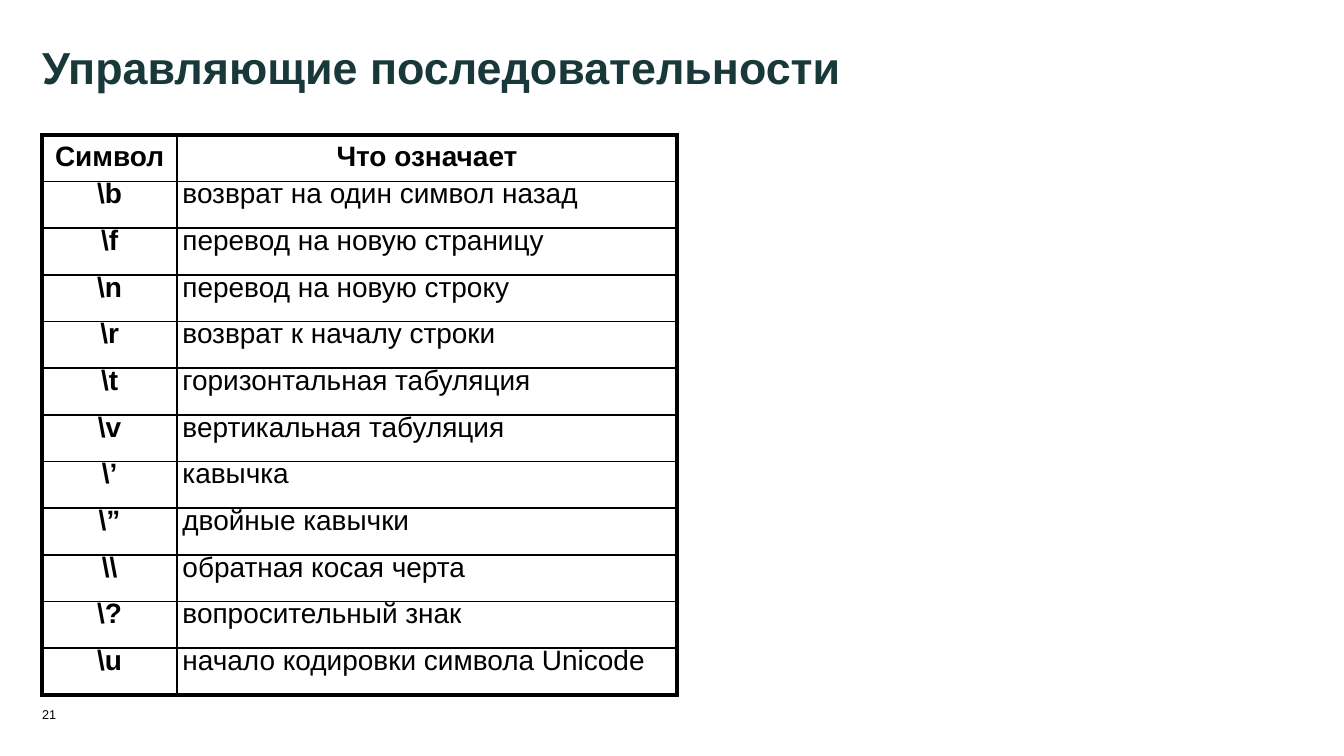
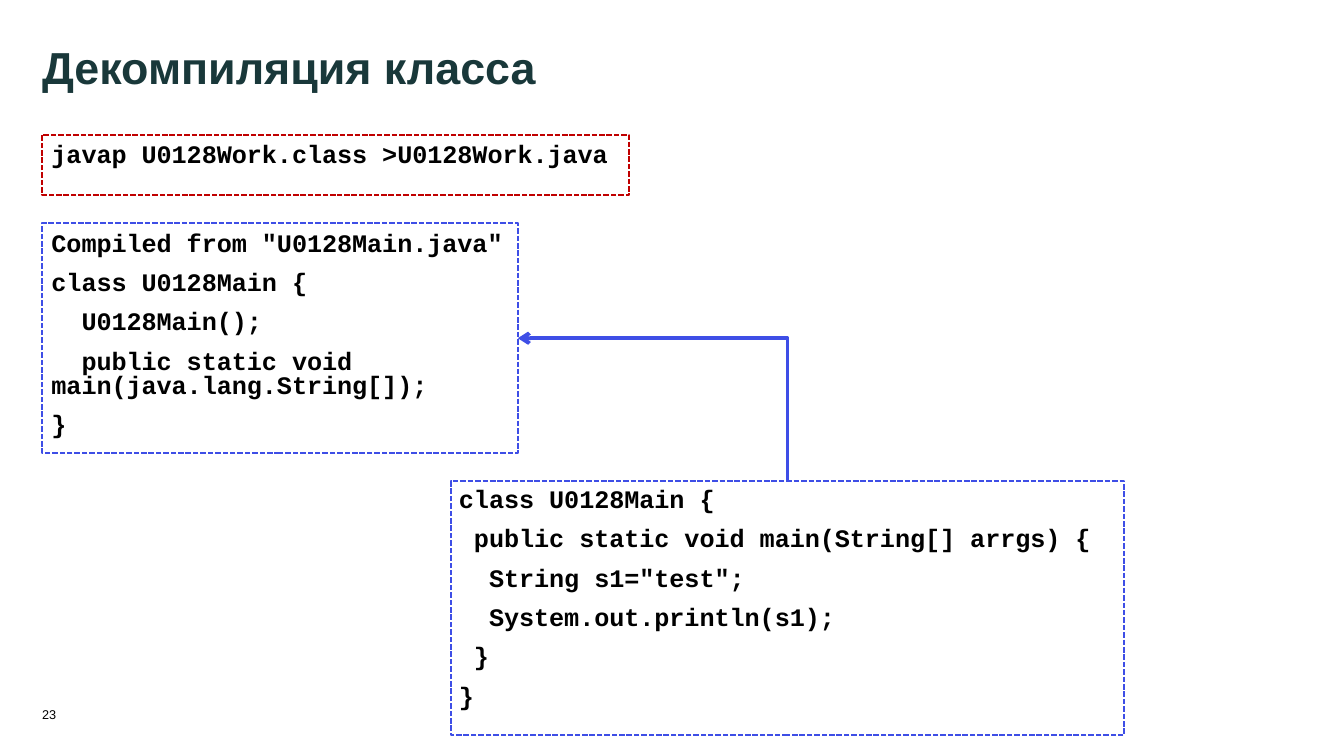
import pptx
import pptx.util
import pptx.dml.color
import pptx.enum.dml
import pptx.enum.shapes
import pptx.enum.text
import pptx.oxml
import pptx.oxml.ns

Pt = pptx.util.Pt
Inches = pptx.util.Inches
RGBColor = pptx.dml.color.RGBColor
PP_ALIGN = pptx.enum.text.PP_ALIGN
MSO_ANCHOR = pptx.enum.text.MSO_ANCHOR

# Shared look
WIDTH = Inches(10)
HEIGHT = WIDTH * 9 // 16
TEAL = RGBColor(0x19, 0x38, 0x3A)
BLACK = RGBColor(0, 0, 0)
BLUE = RGBColor(0x3E, 0x4E, 0xE6)
RED = RGBColor(0xC0, 0, 0)
SANS, MONO = "Arial", "Courier New"
MARGIN = 3.13  # left edge of the content, percent of the width
TOP = 17.83  # top edge of the content, percent of the height
THIN, THICK = 1, 2.25

ESCAPES = [
    ("\\b", "возврат на один символ назад"),
    ("\\f", "перевод на новую страницу"),
    ("\\n", "перевод на новую строку"),
    ("\\r", "возврат к началу строки"),
    ("\\t", "горизонтальная табуляция"),
    ("\\v", "вертикальная табуляция"),
    ("\\’", "кавычка"),
    ("\\”", "двойные кавычки"),
    ("\\\\", "обратная косая черта"),
    ("\\?", "вопросительный знак"),
    ("\\u", "начало кодировки символа Unicode"),
]

COMMAND = "javap U0128Work.class >U0128Work.java"

DECOMPILED = """Compiled from "U0128Main.java"
class U0128Main {
  U0128Main();
  public static void main(java.lang.String[]);
}"""

SOURCE = """class U0128Main {
 public static void main(String[] arrgs) {
  String s1="test";
  System.out.println(s1);
 }
}"""


def area(left, top, width, height):
    """Turn percentages of the slide's size into lengths."""
    return (int(WIDTH * left / 100), int(HEIGHT * top / 100),
            int(WIDTH * width / 100), int(HEIGHT * height / 100))


def write(tf, text, size, font=SANS, color=BLACK, bold=False,
          align=PP_ALIGN.LEFT, line=None, before=0):
    """Write one paragraph per line; before is a share of the text size."""
    for i, words in enumerate(text.split("\n")):
        p = tf.add_paragraph() if i else tf.paragraphs[0]
        p.alignment = align
        p.space_before = Pt(size * before)
        if line:
            p.line_spacing = line
        r = p.add_run()
        r.text = words
        r.font.name, r.font.size, r.font.bold = font, Pt(size), bold
        r.font.color.rgb = color


def set_frame(tf, inset=0, anchor=MSO_ANCHOR.TOP, wrap=True):
    tf.margin_left = tf.margin_right = Inches(inset)
    tf.margin_top = tf.margin_bottom = Inches(inset)
    tf.vertical_anchor = anchor
    tf.word_wrap = wrap
    tf.auto_size = pptx.enum.text.MSO_AUTO_SIZE.NONE


def add_slide(prs, title, number):
    s = prs.slides.add_slide(prs.slide_layouts[5])
    sp = s.shapes.title
    sp.left, sp.top, sp.width, sp.height = area(MARGIN, 5.2, 93.74, 12.6)
    set_frame(sp.text_frame)
    write(sp.text_frame, title, 24, color=TEAL, bold=True)

    # Slide number
    sp = s.shapes.add_textbox(*area(MARGIN, 89.3, MARGIN, 6.2))
    set_frame(sp.text_frame, anchor=MSO_ANCHOR.BOTTOM, wrap=False)
    write(sp.text_frame, str(number), 6.8)
    return s


def set_borders(cell, **widths):
    tc_pr = cell._tc.get_or_add_tcPr()
    for side in "LRTB":
        tc_pr.append(pptx.oxml.parse_xml(
            f'<a:ln{side} {pptx.oxml.ns.nsdecls("a")} w="{Pt(widths[side])}">'
            f'<a:solidFill><a:srgbClr val="{BLACK}"/></a:solidFill></a:ln{side}>'))


def add_grid(s, rows, left, top, col_widths, height):
    sp = s.shapes.add_table(len(rows), len(col_widths),
                            *area(left, top, sum(col_widths), height))
    table = sp.table
    table.first_row = table.horz_banding = False
    for col, width in zip(table.columns, col_widths):
        col.width = int(WIDTH * width / 100)
    last_row, last_col = len(rows) - 1, len(col_widths) - 1
    for i, row in enumerate(rows):
        for j, text in enumerate(row):
            cell = table.cell(i, j)
            head, label = i == 0, i == 0 or j == 0
            cell.margin_left = Inches(0 if label else 0.04)
            cell.margin_right = cell.margin_top = cell.margin_bottom = 0
            cell.vertical_anchor = MSO_ANCHOR.MIDDLE if head else MSO_ANCHOR.TOP
            write(cell.text_frame, text, 15, bold=label, line=0.9, before=0.6,
                  align=PP_ALIGN.CENTER if label else PP_ALIGN.LEFT)
            set_borders(cell,
                        L=THICK if j == 0 else THIN,
                        R=THICK if j == last_col else THIN,
                        T=THICK if head else THIN,
                        B=THICK if i == last_row else THIN)
            cell.fill.background()


def add_code(s, code, place, color, inset=0.07):
    sp = s.shapes.add_shape(pptx.enum.shapes.MSO_SHAPE.RECTANGLE, *area(*place))
    sp.shadow.inherit = False
    sp.fill.background()
    sp.line.color.rgb, sp.line.width = color, Pt(1)
    sp.line.dash_style = pptx.enum.dml.MSO_LINE.SQUARE_DOT
    set_frame(sp.text_frame, inset)
    write(sp.text_frame, code, 13.5, font=MONO, bold=True, line=0.8, before=0.6)
    return sp


def add_bent_arrow(s, start, end, color):
    """Go up from the top of start, then left to the right side of end."""
    x1, y1 = start.left + start.width // 2, start.top
    x2, y2 = end.left + end.width, end.top + end.height // 2
    c = s.shapes.add_connector(pptx.enum.shapes.MSO_CONNECTOR.ELBOW, x1, y1, x2, y2)
    c.begin_connect(start, 0)
    c.end_connect(end, 3)
    c.line.color.rgb, c.line.width = color, Pt(2)

    # A single bend, turned by three quarters about its centre
    across, up = x1 - x2, y1 - y2
    c.left, c.top = (x1 + x2 - up) // 2, (y1 + y2 - across) // 2
    c.width, c.height = up, across
    sp_pr = c._element.spPr
    sp_pr.prstGeom.set("prst", "bentConnector2")
    xfrm = sp_pr.xfrm
    xfrm.attrib.pop("flipH", None)
    xfrm.set("rot", str(270 * 60000))
    xfrm.set("flipV", "1")

    ns = pptx.oxml.ns.nsdecls("a")
    c.line._ln.append(pptx.oxml.parse_xml(f'<a:tailEnd {ns} type="arrow"/>'))
    sp_pr.append(pptx.oxml.parse_xml(f"<a:effectLst {ns}/>"))


def main():
    prs = pptx.Presentation()
    prs.slide_width, prs.slide_height = WIDTH, HEIGHT

    # Escape sequences
    s = add_slide(prs, "Управляющие последовательности", 21)
    add_grid(s, [("Символ", "Что означает")] + ESCAPES,
             MARGIN, TOP, (10.05, 37.2), 74.13)

    # Decompiling a class
    s = add_slide(prs, "Декомпиляция класса", 23)
    decompiled = add_code(s, DECOMPILED, (MARGIN, 29.55, 35.4, 30.4), BLUE)
    add_code(s, COMMAND, (MARGIN, TOP, 43.7, 8), RED)
    source = add_code(s, SOURCE, (33.55, 63.65, 50.1, 33.6), BLUE, inset=0.06)
    add_bent_arrow(s, source, decompiled, BLUE)

    prs.save("out.pptx")


if __name__ == "__main__":
    main()
